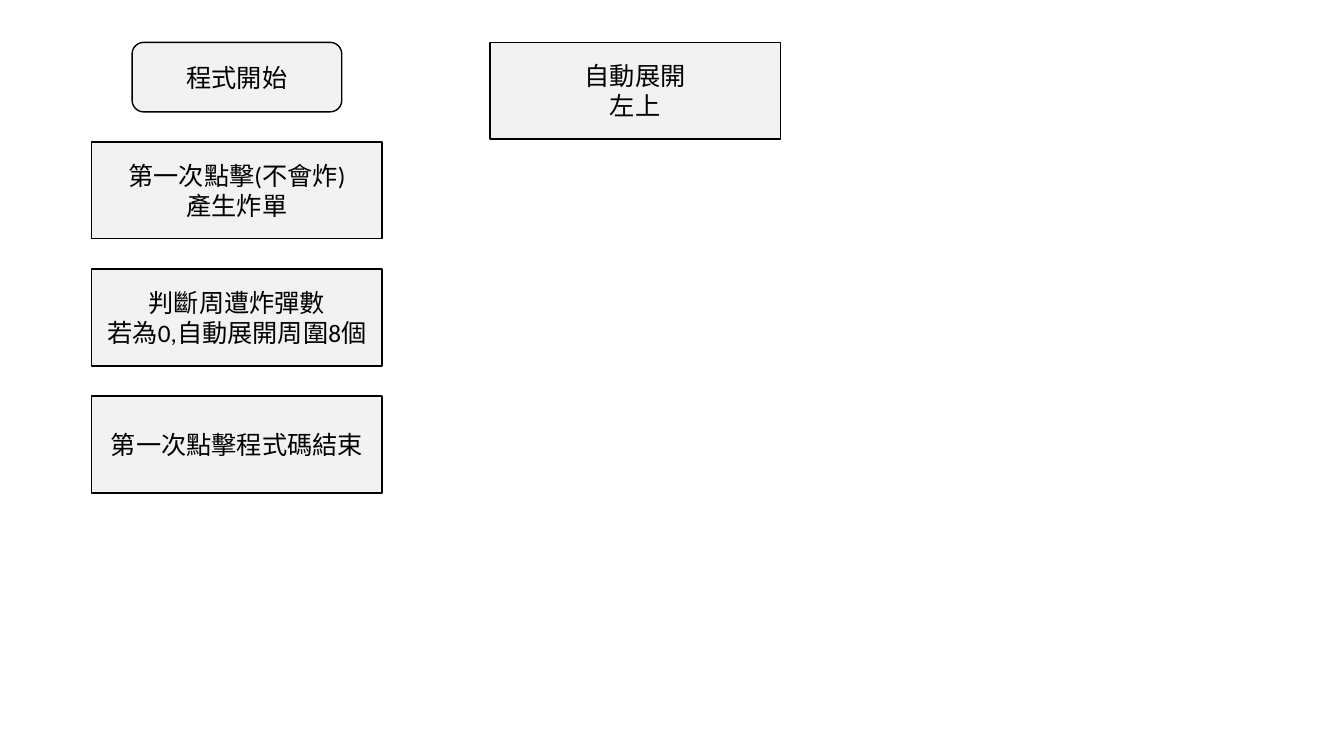
from pptx import Presentation
from pptx.dml.color import RGBColor
from pptx.enum.shapes import MSO_SHAPE
from pptx.enum.text import MSO_ANCHOR, PP_ALIGN
from pptx.util import Inches, Pt

# Flowchart grid, in inches
TOP = 0.42
GAP = 0.3
MAIN_CENTER, EXPAND_CENTER = 2.35, 6.3
START_SIZE = (2.08, 0.69)
STEP_SIZE = (2.88, 0.96)


def color(hex_value):
    return RGBColor.from_string(hex_value)


def add_box(page, kind, center, top, size, lines):
    """Add a bordered flowchart box centred on its column."""
    width, height = size
    box = page.shapes.add_shape(kind, Inches(center - width / 2), Inches(top),
                                Inches(width), Inches(height))
    box.shadow.inherit = False
    box.fill.solid()
    box.fill.fore_color.rgb = color("F2F2F2")
    box.line.color.rgb = color("000000")
    box.line.width = Pt(1)

    frame = box.text_frame
    frame.word_wrap = True
    frame.vertical_anchor = MSO_ANCHOR.MIDDLE
    frame.text = "\n".join(lines)
    for para in frame.paragraphs:
        para.alignment = PP_ALIGN.CENTER
        para.font.name = "Calibri"
        para.font.size = Pt(18)
        para.font.color.rgb = color("000000")


def add_column(page, center, boxes):
    """Stack boxes downwards with equal gaps."""
    top = TOP
    for kind, size, lines in boxes:
        add_box(page, kind, center, top, size, lines)
        top += size[1] + GAP


def main():
    deck = Presentation()
    deck.slide_width, deck.slide_height = Inches(13.33), Inches(7.5)
    page = deck.slides.add_slide(deck.slide_layouts[6])

    # First click, from start to end
    steps = [
        ["第一次點擊(不會炸)", "產生炸單"],
        ["判斷周遭炸彈數", "若為0,自動展開周圍8個".replace(",", ",")],
        ["第一次點擊程式碼結束"],
    ]
    start = (MSO_SHAPE.ROUNDED_RECTANGLE, START_SIZE, ["程式開始"])
    add_column(page, MAIN_CENTER,
               [start] + [(MSO_SHAPE.RECTANGLE, STEP_SIZE, lines) for lines in steps])

    # Automatic expansion
    add_column(page, EXPAND_CENTER,
               [(MSO_SHAPE.RECTANGLE, STEP_SIZE, ["自動展開", "左上"])])

    deck.save("out.pptx")


main()
